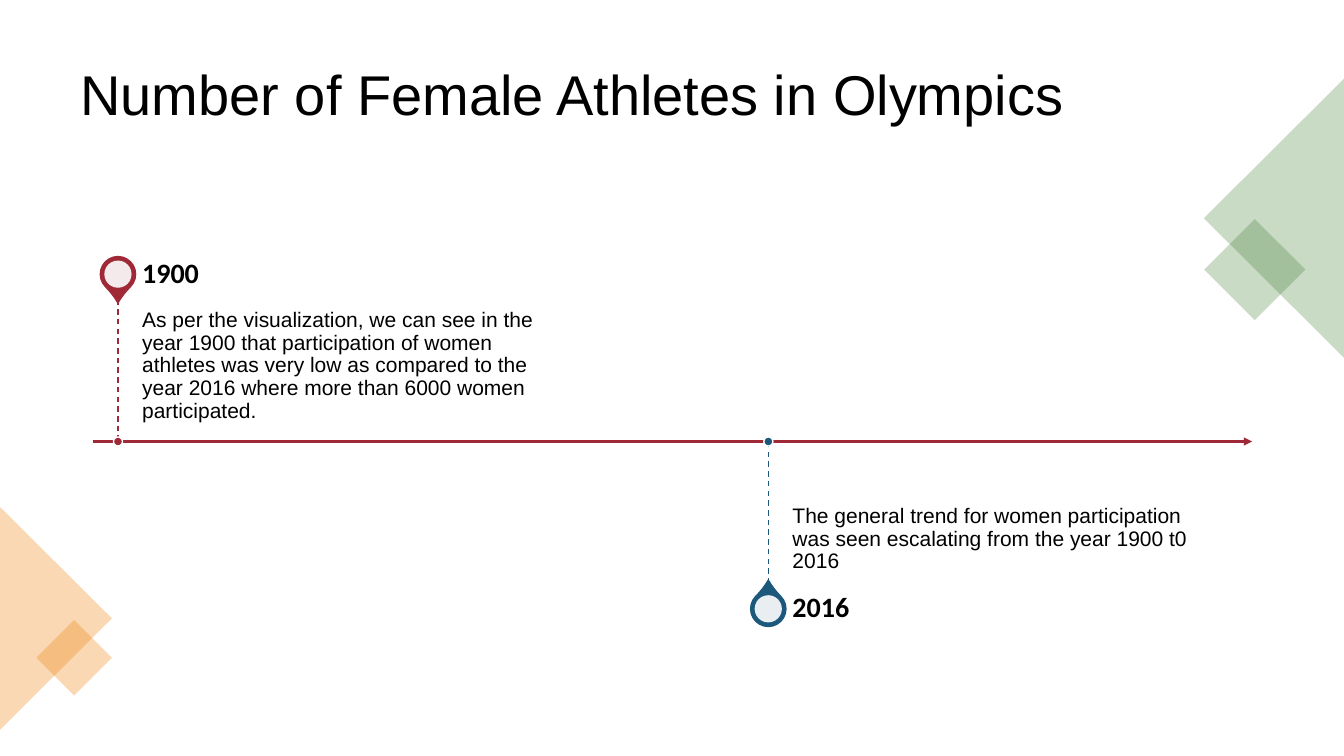
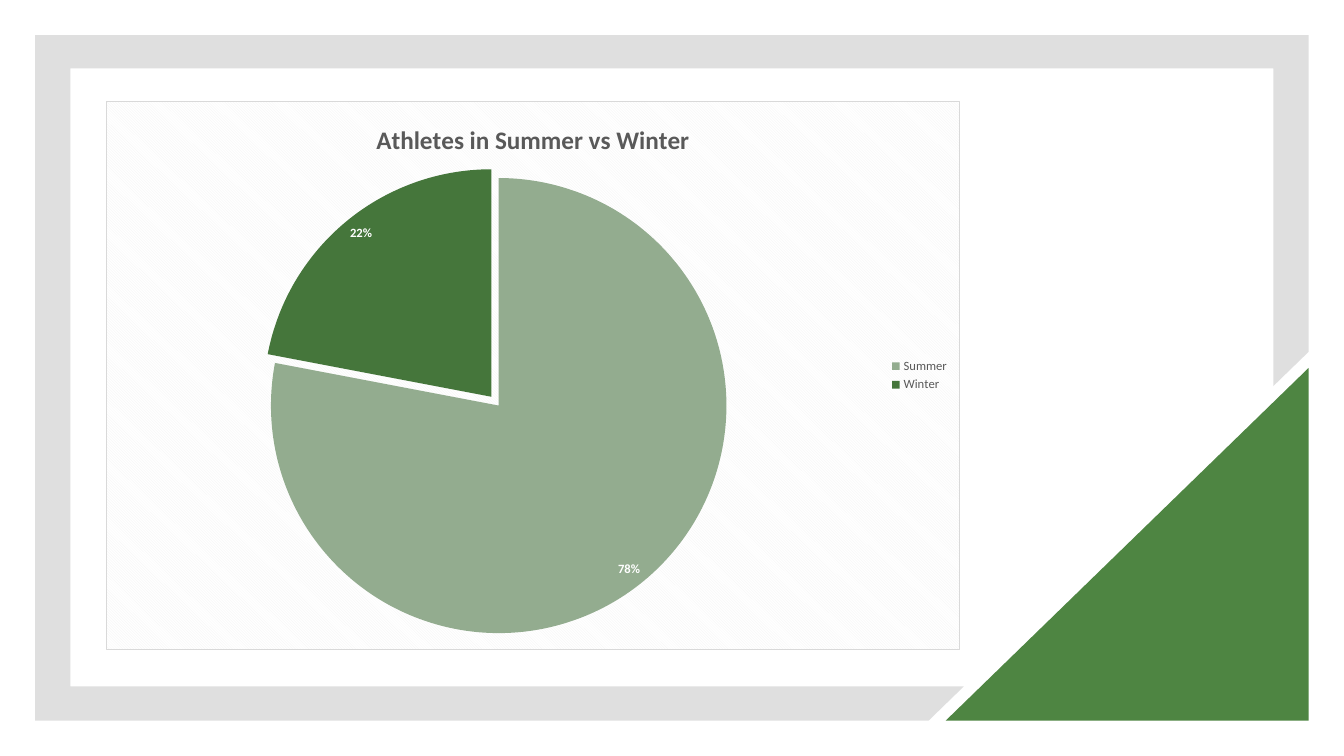
from lxml import etree
from pptx import Presentation
from pptx.chart.data import CategoryChartData
from pptx.dml.color import RGBColor
from pptx.enum.chart import XL_CHART_TYPE, XL_LABEL_POSITION, XL_LEGEND_POSITION
from pptx.enum.dml import MSO_LINE
from pptx.enum.shapes import MSO_CONNECTOR, MSO_SHAPE
from pptx.enum.text import MSO_ANCHOR
from pptx.oxml import parse_xml
from pptx.oxml.ns import nsdecls, qn
from pptx.util import Pt

PX = 9144  # 100 px to the inch
SLIDE_SIZE = (1333, 750)
HEADING_FONT, LABEL_FONT = "Arial", "Calibri"
COLORS = {
    "black": "000000", "white": "FFFFFF", "grey": "808080", "dark_grey": "595959",
    "green": "4E8542", "orange": "F07F09", "red": "9F2936", "blue": "1B587C",
    "summer": "93AC8F", "winter": "45763B",
    "chart_border": "D9D9D9", "chart_stripe": "F2F2F2",
}

TITLE = "Number of Female Athletes in Olympics"
CORNERS = [  # shape, box, rotation, colour
    (MSO_SHAPE.RECTANGLE, (1209, 232, 71, 71), 45, "green"),
    (MSO_SHAPE.ISOSCELES_TRIANGLE, (1125, 147, 277, 139), 270, "green"),
    (MSO_SHAPE.ISOSCELES_TRIANGLE, (-55, 558, 221, 111), 90, "orange"),
    (MSO_SHAPE.RECTANGLE, (47, 626, 53, 53), 45, "orange"),
]
AXIS_Y, AXIS_LEFT, AXIS_RIGHT = 438, 92, 1242
MILESTONES = [
    {"year": "1900", "x": 117, "above": True, "color": "red",
     "story": "As per the visualization, we can see in the year 1900 that participation of "
              "women athletes was very low as compared to the year 2016 where more than "
              "6000 women participated."},
    {"year": "2016", "x": 762, "above": False, "color": "blue",
     "story": "The general trend for women participation was seen escalating from the "
              "year 1900 t0 2016"},
]
HEAD_OFFSET, STEM, HEAD, HOLE, DOT = 166, 141, 35, 27, 9
TEXT_GAP, TEXT_WIDTH, YEAR_HEIGHT = 24, 418, 49

FRAME = [(35, 35), (1298, 35), (1298, 349), (1263, 383), (1263, 68), (70, 68),
         (70, 681), (956, 681), (921, 715), (35, 715)]
CORNER_TRIANGLE = (938, 365, 360, 350)
CHART_BOX = (105, 100, 847, 545)
CHART_TITLE = "Athletes in Summer vs Winter"
SEASONS = [("Summer", 78, "summer"), ("Winter", 22, "winter")]
EXPLODED, EXPLOSION = 1, 5
PLOT_LAYOUT = {"x": 0.19, "y": 0.14, "w": 0.54, "h": 0.83}


def emu(*lengths):
    return [round(length * PX) for length in lengths]


def rgb(name):
    return RGBColor.from_string(COLORS[name])


def paint(shape, color, opacity=100, outline=None):
    shape.shadow.inherit = False
    shape.fill.solid()
    shape.fill.fore_color.rgb = rgb(color)
    if opacity < 100:
        solid = shape.fill.fore_color._xFill
        etree.SubElement(solid[0], qn("a:alpha"), val=str(opacity * 1000))
    if outline:
        shape.line.color.rgb = rgb(outline)
        shape.line.width = Pt(1)
    else:
        shape.line.fill.background()


def add_figure(slide, kind, box, color, opacity=100, outline=None, rotation=0):
    figure = slide.shapes.add_shape(kind, *emu(*box))
    figure.rotation = rotation
    paint(figure, color, opacity, outline)
    return figure


def add_circle(slide, x, y, size, color, **style):
    """Circle centred on (x, y)."""
    box = (x - size / 2, y - size / 2, size, size)
    return add_figure(slide, MSO_SHAPE.OVAL, box, color, **style)


def add_line(slide, start, end, color, width):
    line = slide.shapes.add_connector(MSO_CONNECTOR.STRAIGHT, *emu(*start, *end))
    line.line.color.rgb = rgb(color)
    line.line.width = Pt(width)
    etree.SubElement(line._element.spPr, qn("a:effectLst"))
    return line


def style_font(font, size, color, name=LABEL_FONT, bold=False):
    font.size, font.name, font.bold = Pt(size), name, bold
    font.color.rgb = rgb(color)


def add_text(slide, box, text, size, name, anchor, margins, bold=False):
    frame = slide.shapes.add_textbox(*emu(*box)).text_frame
    frame.word_wrap = True
    frame.vertical_anchor = anchor
    (frame.margin_left, frame.margin_top,
     frame.margin_right, frame.margin_bottom) = emu(*margins)
    frame.text = text
    paragraph = frame.paragraphs[0]
    paragraph.line_spacing = 0.9
    style_font(paragraph.runs[0].font, size, "black", name, bold)


def add_milestone(slide, milestone):
    x, above, color = milestone["x"], milestone["above"], milestone["color"]
    side = -1 if above else 1
    head_y = AXIS_Y + side * HEAD_OFFSET
    head_box = (x - HEAD / 2, head_y - HEAD / 2, HEAD, HEAD)
    head = add_figure(slide, MSO_SHAPE.TEAR, head_box, color, outline=color,
                      rotation=135 if above else 315)
    head.adjustments[0] = 1.15
    add_circle(slide, x, head_y, HOLE, "white", opacity=90)

    left = x + TEXT_GAP
    add_text(slide, (left, AXIS_Y - STEM if above else AXIS_Y, TEXT_WIDTH, STEM),
             milestone["story"], 15, HEADING_FONT,
             MSO_ANCHOR.TOP if above else MSO_ANCHOR.BOTTOM,
             (0, 10, 0, 16) if above else (0, 16, 10, 10))
    add_text(slide, (left, head_y - YEAR_HEIGHT / 2, TEXT_WIDTH, YEAR_HEIGHT),
             milestone["year"], 20, LABEL_FONT, MSO_ANCHOR.MIDDLE, (0, 0, 14, 0), bold=True)

    stem = add_line(slide, (x, AXIS_Y + side * STEM), (x, AXIS_Y), color, 1)
    stem.line.dash_style = MSO_LINE.DASH
    add_circle(slide, x, AXIS_Y, DOT, color, outline="white")


def build_timeline(slide):
    add_text(slide, (70, 35, 1193, 124), TITLE, 40, HEADING_FONT,
             MSO_ANCHOR.MIDDLE, (10, 5, 10, 5))
    for kind, box, rotation, color in CORNERS:
        add_figure(slide, kind, box, color, opacity=30, rotation=rotation)
    axis = add_line(slide, (AXIS_LEFT, AXIS_Y), (AXIS_RIGHT, AXIS_Y), "red", 1.5)
    etree.SubElement(axis.line._get_or_add_ln(), qn("a:tailEnd"), type="triangle")
    for milestone in MILESTONES:
        add_milestone(slide, milestone)


def add_chart_background(chart):
    background = parse_xml(
        f'<c:spPr {nsdecls("c", "a")}><a:pattFill prst="dkDnDiag">'
        f'<a:fgClr><a:srgbClr val="{COLORS["chart_stripe"]}"/></a:fgClr>'
        f'<a:bgClr><a:srgbClr val="{COLORS["white"]}"/></a:bgClr></a:pattFill>'
        f'<a:ln w="9525"><a:solidFill><a:srgbClr val="{COLORS["chart_border"]}"/>'
        '</a:solidFill></a:ln></c:spPr>')
    chart._chartSpace.find(qn("c:chart")).addnext(background)


def place_plot(chart):
    """Fix the plot area at PLOT_LAYOUT, in shares of the chart."""
    plot_area = chart._chartSpace.find(qn("c:chart")).find(qn("c:plotArea"))
    for automatic in plot_area.findall(qn("c:layout")):
        plot_area.remove(automatic)
    layout = etree.Element(qn("c:layout"))
    manual = etree.SubElement(layout, qn("c:manualLayout"))
    settings = {"layoutTarget": "inner", "xMode": "edge", "yMode": "edge", **PLOT_LAYOUT}
    for tag, value in settings.items():
        etree.SubElement(manual, qn(f"c:{tag}"), val=str(value))
    plot_area.insert(0, layout)


def add_season_chart(slide):
    seasons = CategoryChartData()
    seasons.categories = [name for name, _, _ in SEASONS]
    seasons.add_series("Series 1", [share for _, share, _ in SEASONS])
    chart = slide.shapes.add_chart(XL_CHART_TYPE.PIE, *emu(*CHART_BOX), seasons).chart
    style_font(chart.font, 10, "black")

    chart.has_title = True
    heading = chart.chart_title.text_frame
    heading.text = CHART_TITLE
    style_font(heading.paragraphs[0].runs[0].font, 18, "dark_grey", bold=True)
    chart.has_legend = True
    chart.legend.position = XL_LEGEND_POSITION.RIGHT
    chart.legend.include_in_layout = False
    style_font(chart.legend.font, 9, "dark_grey")

    pie = chart.plots[0]
    pie.vary_by_categories = True
    series = pie.series[0]
    for index, (_, _, color) in enumerate(SEASONS):
        fill = series.points[index].format.fill
        fill.solid()
        fill.fore_color.rgb = rgb(color)
    exploded = series._element.findall(qn("c:dPt"))[EXPLODED]
    explosion = etree.Element(qn("c:explosion"), val=str(EXPLOSION))
    exploded.find(qn("c:spPr")).addprevious(explosion)

    labels = series.data_labels
    labels.show_percentage, labels.show_value = True, False
    labels.number_format, labels.number_format_is_linked = "0%", False
    labels.position = XL_LABEL_POSITION.INSIDE_END
    style_font(labels.font, 9, "white", bold=True)
    place_plot(chart)
    add_chart_background(chart)


def build_seasons(slide):
    outline = slide.shapes.build_freeform(*FRAME[0], scale=PX)
    outline.add_line_segments(FRAME[1:], close=True)
    paint(outline.convert_to_shape(), "grey", opacity=25)
    triangle = add_figure(slide, MSO_SHAPE.RIGHT_TRIANGLE, CORNER_TRIANGLE, "green")
    triangle._element.spPr.find(qn("a:xfrm")).set("flipH", "1")
    add_season_chart(slide)


def main():
    deck = Presentation()
    deck.slide_width, deck.slide_height = emu(*SLIDE_SIZE)
    for build in (build_timeline, build_seasons):
        build(deck.slides.add_slide(deck.slide_layouts[6]))
    deck.save("out.pptx")


if __name__ == "__main__":
    main()
